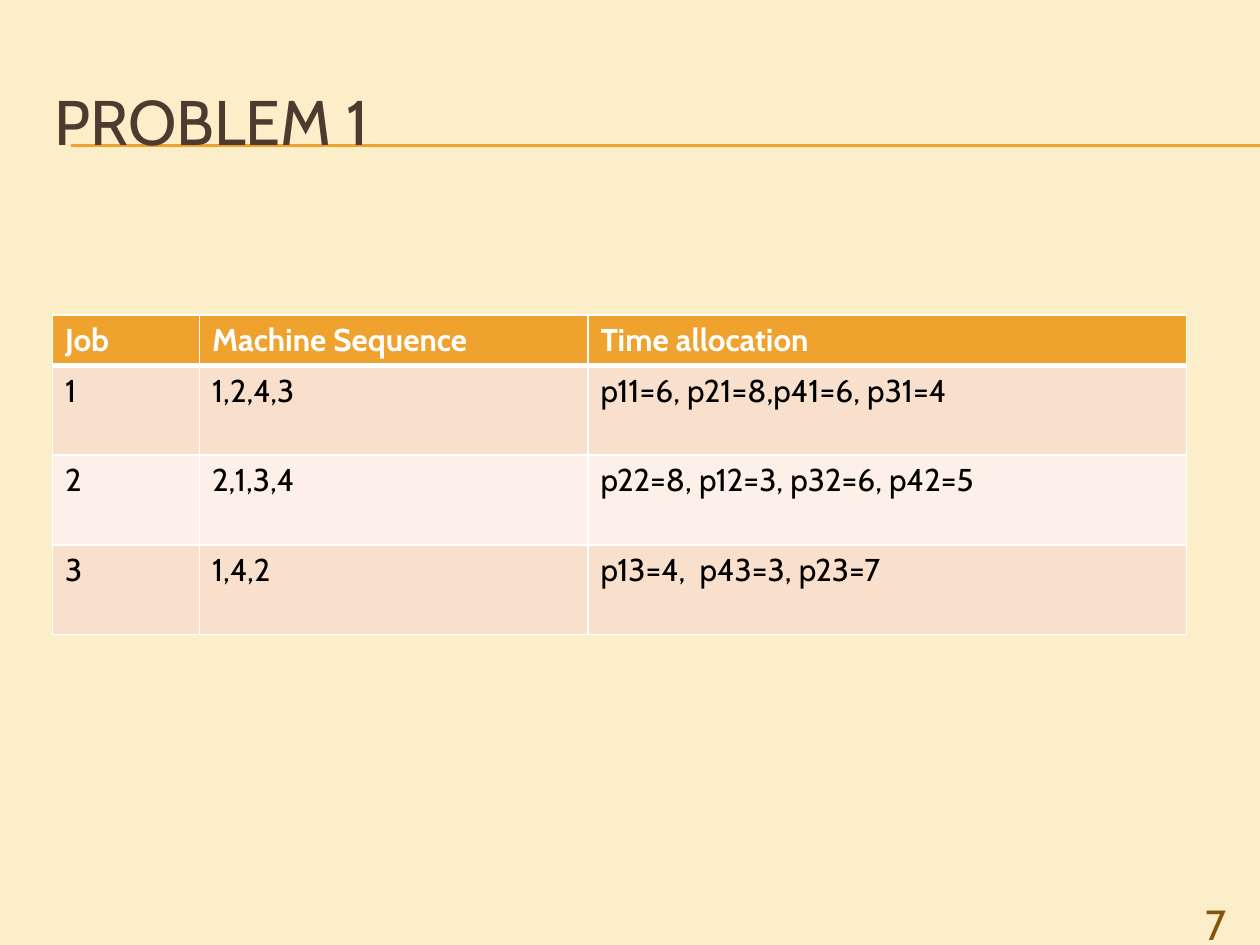
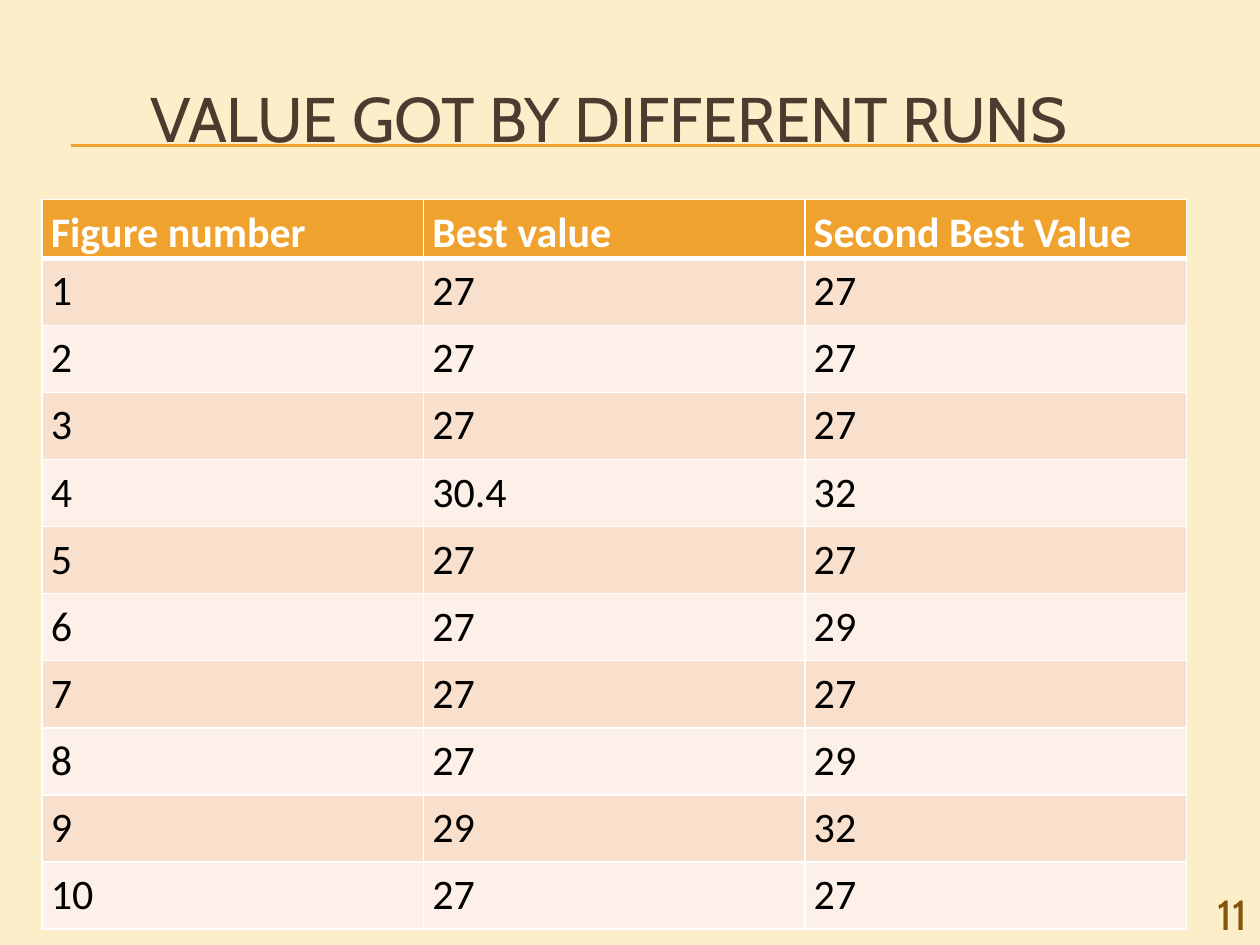
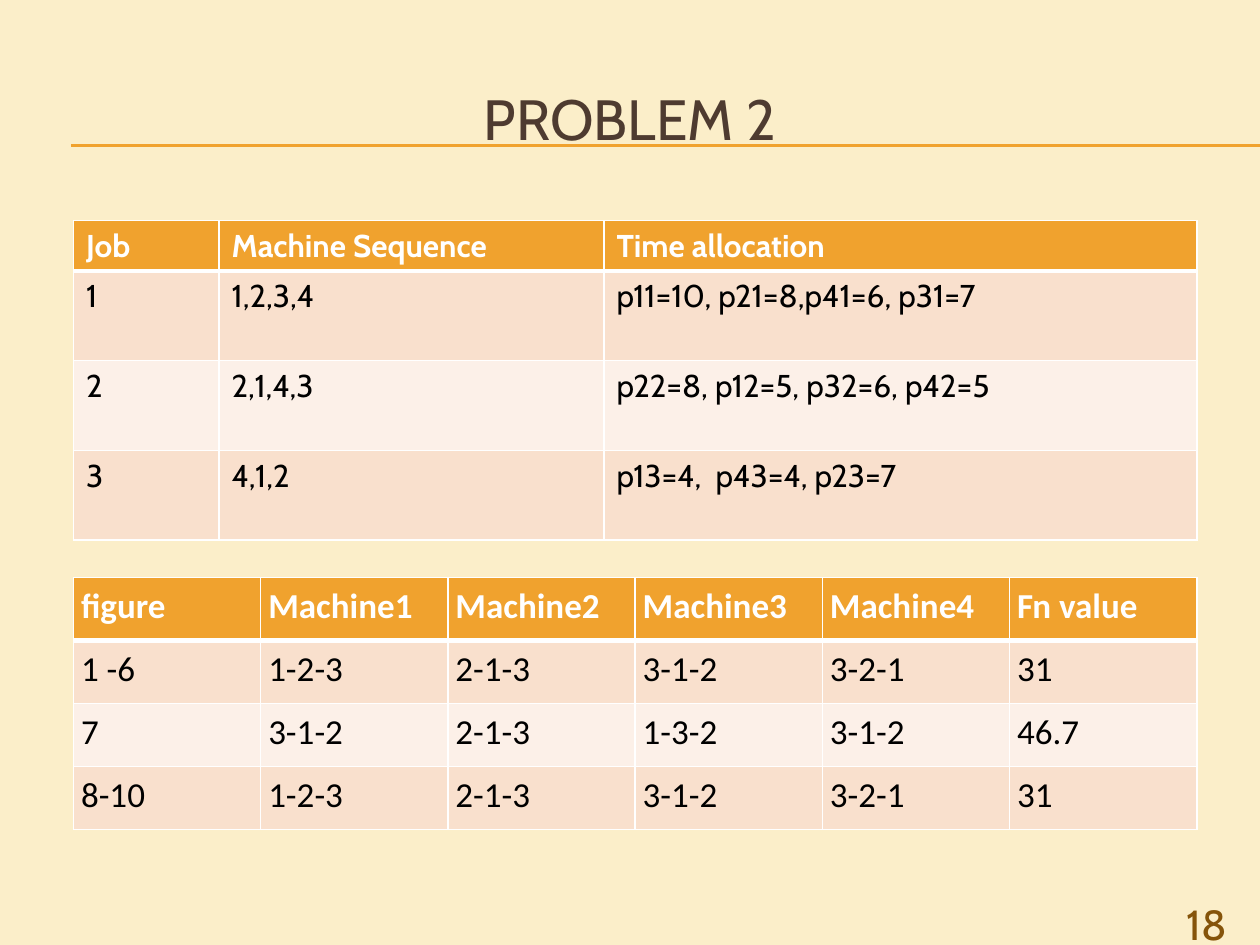
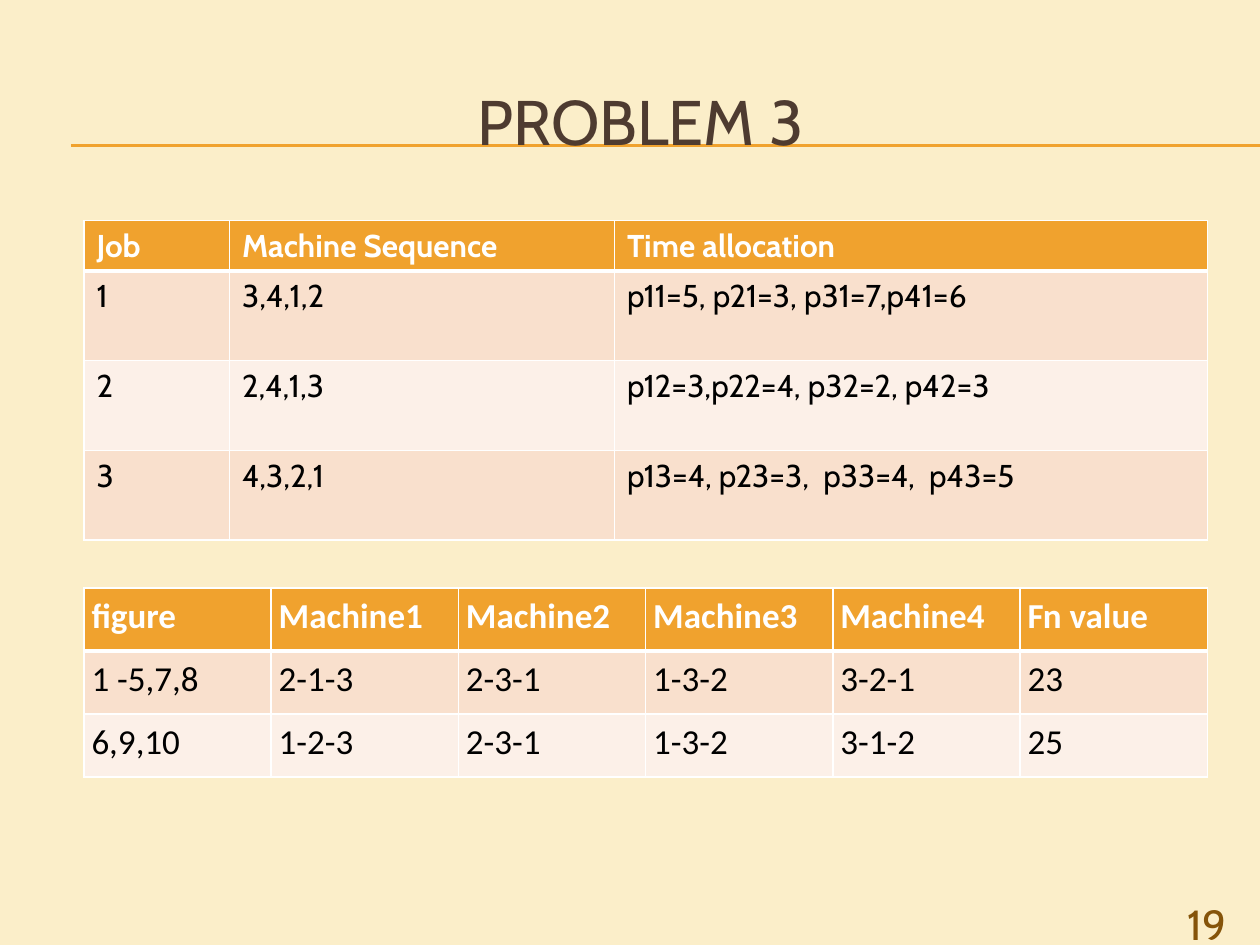
from lxml import etree
from pptx import Presentation
from pptx.dml.color import RGBColor
from pptx.enum.shapes import MSO_CONNECTOR
from pptx.enum.text import MSO_ANCHOR, PP_ALIGN
from pptx.oxml.ns import qn
from pptx.util import Inches, Pt

LEFT, CENTER, RIGHT = PP_ALIGN.LEFT, PP_ALIGN.CENTER, PP_ALIGN.RIGHT
TOP, MIDDLE = MSO_ANCHOR.TOP, MSO_ANCHOR.MIDDLE
STRAIGHT = MSO_CONNECTOR.STRAIGHT

WIDTH, HEIGHT = Inches(10), Inches(7.5)
GRID_COLUMNS, GRID_ROWS = 120, 90

CREAM, ORANGE, BROWN, AMBER = "FBEEC9", "F0A22E", "4E3B30", "85540A"
WHITE, BLACK = "FFFFFF", "000000"
BANDS = ("F9E0CD", "FCF0E8")
HEADING_FONT, DATA_FONT = "Cabin", "Calibri"

JOB_HEADER = ("Job", "Machine Sequence", "Time allocation")
JOB_STYLE = {
    "font": {"name": HEADING_FONT, "size": Pt(18)},
    "margins": {},
    "spacing": {},
    "shares": (14, 37, 57),
    "header_rows": 4.8,
    "body_rows": 8.55,
}

RUN_HEADER = ("Figure number", "Best value", "Second Best Value")
RUN_STYLE = {
    "font": {"name": DATA_FONT, "size": Pt(24)},
    "margins": {
        "margin_left": Inches(0.07), "margin_right": Inches(0.07),
        "margin_top": 0, "margin_bottom": 0,
    },
    "spacing": {"line_spacing": 1.15},
    "shares": (1,) * 3,
    "header_rows": 5.6,
    "body_rows": 6.39,
}

MACHINE_HEADER = ("figure", "Machine1", "Machine2", "Machine3", "Machine4", "Fn value")
MACHINE_STYLE = {
    "font": {"name": DATA_FONT, "size": Pt(20)},
    "margins": {
        f"margin_{side}": Inches(0.06) for side in ("left", "right", "top", "bottom")
    },
    "spacing": {},
    "shares": (1,) * 6,
    "header_rows": 6,
    "body_rows": 6,
}


def columns(count):
    return round(WIDTH * count / GRID_COLUMNS)


def rows(count):
    return round(HEIGHT * count / GRID_ROWS)


def area(left, top, width, height):
    return columns(left), rows(top), columns(width), rows(height)


def colour(hex_value):
    return RGBColor.from_string(hex_value)


def apply(target, values):
    for name, value in values.items():
        setattr(target, name, value)


def write(frame, wording, ink, font, paragraph_format):
    paragraph = frame.paragraphs[0]
    apply(paragraph, paragraph_format)
    run = paragraph.add_run()
    run.text = wording
    apply(run.font, font)
    run.font.color.rgb = colour(ink)


def add_label(slide, wording, place, size, ink, align, anchor):
    frame = slide.shapes.add_textbox(*area(*place)).text_frame
    apply(frame, {"word_wrap": True, "vertical_anchor": anchor})
    write(frame, wording, ink, {"name": HEADING_FONT, "size": Pt(size)}, {"alignment": align})


def add_rule(slide, height):
    rule = slide.shapes.add_connector(
        STRAIGHT, columns(6.75), rows(height), WIDTH, rows(height)
    )
    rule.line.color.rgb = colour(ORANGE)
    rule.line.width = Pt(0.75)
    etree.SubElement(rule._element.spPr, qn("a:effectLst"))


def add_borders(cell, top, bottom):
    properties = cell._tc.get_or_add_tcPr()
    for side, points in {"L": 1, "R": 1, "T": top, "B": bottom}.items():
        border = etree.SubElement(properties, qn(f"a:ln{side}"), w=str(Pt(points)))
        fill = etree.SubElement(border, qn("a:solidFill"))
        etree.SubElement(fill, qn("a:srgbClr"), val=WHITE)


def add_grid(slide, left, top, width, header, records, style):
    lines = [header, *records]
    heights = [style["header_rows"]] + [style["body_rows"]] * len(records)
    table = slide.shapes.add_table(
        len(lines), len(header), *area(left, top, width, sum(heights))
    ).table
    table.horz_banding = False
    for column, share in zip(table.columns, style["shares"]):
        column.width = columns(width * share / sum(style["shares"]))
    for index, (line, height) in enumerate(zip(lines, heights)):
        table.rows[index].height = rows(height)
        heading = index == 0
        for cell, wording in zip(table.rows[index].cells, line):
            add_borders(cell, 3 if index == 1 else 1, 3 if heading else 1)
            cell.fill.solid()
            cell.fill.fore_color.rgb = colour(ORANGE if heading else BANDS[(index - 1) % 2])
            apply(cell, style["margins"])
            write(
                cell.text_frame, wording, WHITE if heading else BLACK,
                {**style["font"], "bold": heading}, style["spacing"],
            )


def add_page(deck, title, title_place, number, number_place=(108, 85, 10, 3.2),
             title_size=36, align=CENTER):
    slide = deck.slides.add_slide(deck.slide_layouts[6])
    slide.background.fill.solid()
    slide.background.fill.fore_color.rgb = colour(CREAM)
    for height in (13.8, 13.92):
        add_rule(slide, height)
    add_label(slide, title, title_place, title_size, BROWN, align, MIDDLE)
    add_label(slide, number, number_place, 24, AMBER, RIGHT, TOP)
    return slide


def main():
    deck = Presentation()
    apply(deck, {"slide_width": WIDTH, "slide_height": HEIGHT})

    first_problem = add_page(deck, "PROBLEM 1", (4, 6, 114, 11), "7", align=LEFT)
    add_grid(first_problem, 5, 30, 108, JOB_HEADER, [
        ("1", "1,2,4,3", "p11=6, p21=8,p41=6, p31=4"),
        ("2", "2,1,3,4", "p22=8, p12=3, p32=6, p42=5"),
        ("3", "1,4,2", "p13=4,  p43=3, p23=7"),
    ], JOB_STYLE)

    runs = add_page(
        deck, "VALUE GOT BY DIFFERENT RUNS", (4, 6, 108, 10.4), "11", (110, 84, 10, 3.2)
    )
    best = ("27", "27", "27", "30.4", "27", "27", "27", "27", "29", "27")
    second_best = ("27", "27", "27", "32", "27", "29", "27", "29", "32", "27")
    add_grid(runs, 4, 19, 109, RUN_HEADER, [
        (str(figure), *values)
        for figure, values in enumerate(zip(best, second_best), start=1)
    ], RUN_STYLE)

    second_problem = add_page(deck, "PROBLEM 2", (6, 7, 108, 8.4), "18", title_size=32.4)
    add_grid(second_problem, 7, 21, 107, JOB_HEADER, [
        ("1", "1,2,3,4", "p11=10, p21=8,p41=6, p31=7"),
        ("2", "2,1,4,3", "p22=8, p12=5, p32=6, p42=5"),
        ("3", "4,1,2", "p13=4,  p43=4, p23=7"),
    ], JOB_STYLE)
    add_grid(second_problem, 7, 55, 107, MACHINE_HEADER, [
        ("1 -6", "1-2-3", "2-1-3", "3-1-2", "3-2-1", "31"),
        ("7", "3-1-2", "2-1-3", "1-3-2", "3-1-2", "46.7"),
        ("8-10", "1-2-3", "2-1-3", "3-1-2", "3-2-1", "31"),
    ], MACHINE_STYLE)

    third_problem = add_page(deck, "PROBLEM 3", (4, 6, 114, 11), "19")
    add_grid(third_problem, 8, 21, 107, JOB_HEADER, [
        ("1", "3,4,1,2", "p11=5, p21=3, p31=7,p41=6"),
        ("2", "2,4,1,3", "p12=3,p22=4, p32=2, p42=3"),
        ("3", "4,3,2,1", "p13=4, p23=3,  p33=4,  p43=5"),
    ], JOB_STYLE)
    add_grid(third_problem, 8, 56, 107, MACHINE_HEADER, [
        ("1 -5,7,8", "2-1-3", "2-3-1", "1-3-2", "3-2-1", "23"),
        ("6,9,10", "1-2-3", "2-3-1", "1-3-2", "3-1-2", "25"),
    ], MACHINE_STYLE)

    deck.save("out.pptx")


main()
